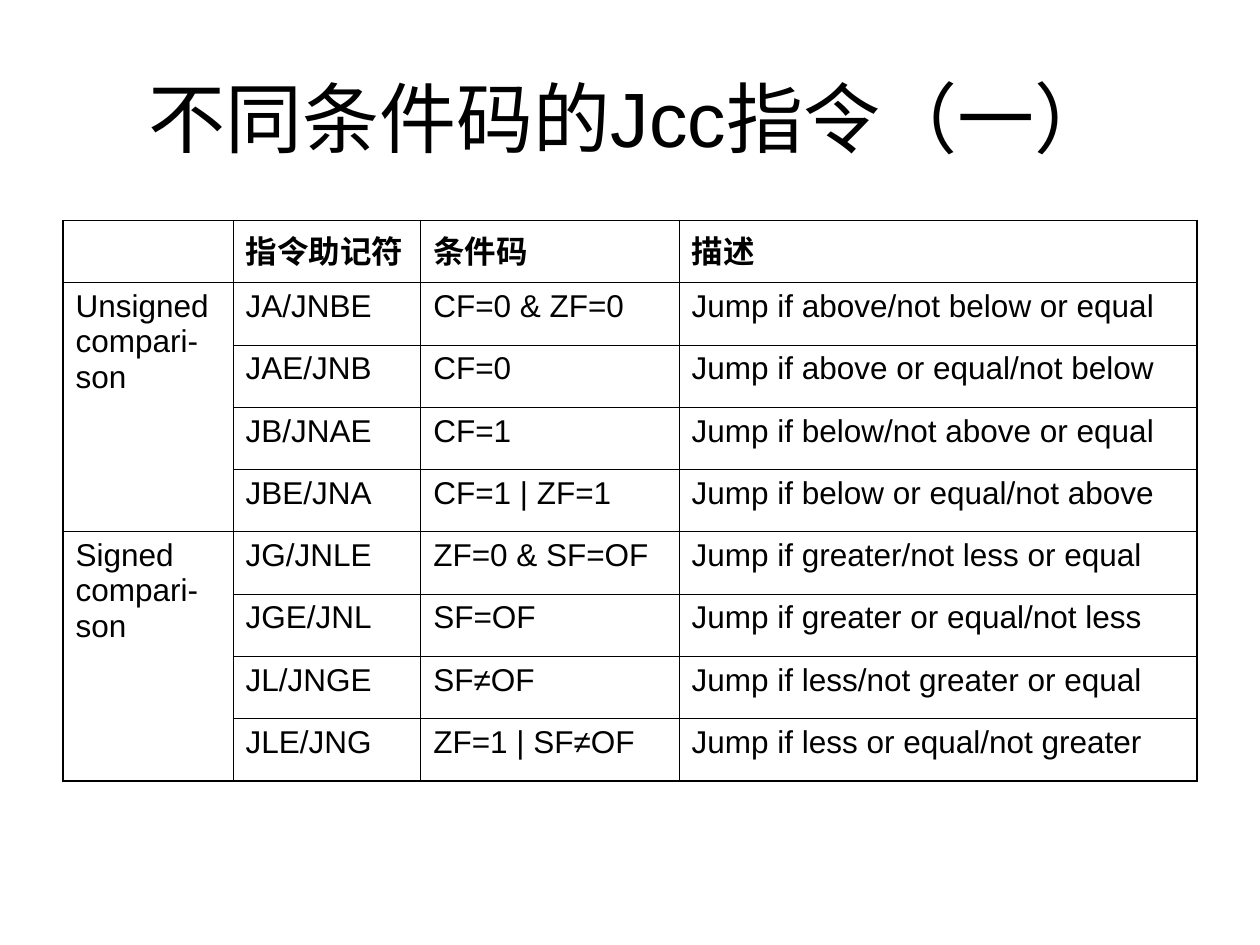
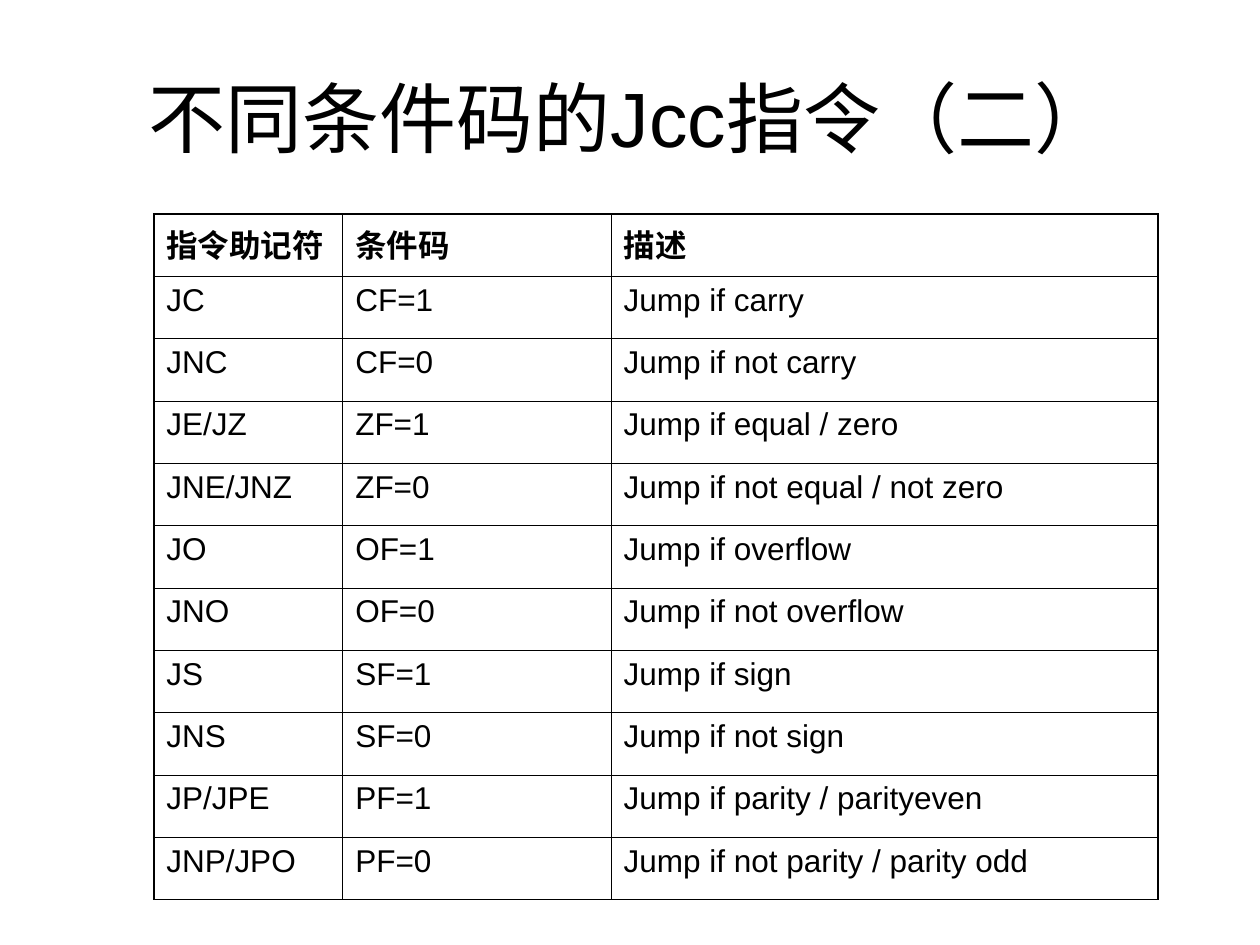
import pptx
import pptx.dml.color
import pptx.enum.text
import pptx.oxml
import pptx.oxml.ns
import pptx.util

PX = 9144  # EMU per px, 100 px to the inch
HUES = {"ink": "000000", "page": "FFFFFF"}
FONT = "Arial"
THIN, THICK = 0.45, 1.08
HEAD = ["指令助记符", "条件码", "描述"]

SIGNS = {
    "Unsigned compari-son": [
        ["JA/JNBE", "CF=0 & ZF=0", "Jump if above/not below or equal"],
        ["JAE/JNB", "CF=0", "Jump if above or equal/not below"],
        ["JB/JNAE", "CF=1", "Jump if below/not above or equal"],
        ["JBE/JNA", "CF=1 | ZF=1", "Jump if below or equal/not above"],
    ],
    "Signed compari-son": [
        ["JG/JNLE", "ZF=0 & SF=OF", "Jump if greater/not less or equal"],
        ["JGE/JNL", "SF=OF", "Jump if greater or equal/not less"],
        ["JL/JNGE", "SF≠OF", "Jump if less/not greater or equal"],
        ["JLE/JNG", "ZF=1 | SF≠OF", "Jump if less or equal/not greater"],
    ],
}

FLAGS = [
    ["JC", "CF=1", "Jump if carry"],
    ["JNC", "CF=0", "Jump if not carry"],
    ["JE/JZ", "ZF=1", "Jump if equal / zero"],
    ["JNE/JNZ", "ZF=0", "Jump if not equal / not zero"],
    ["JO", "OF=1", "Jump if overflow"],
    ["JNO", "OF=0", "Jump if not overflow"],
    ["JS", "SF=1", "Jump if sign"],
    ["JNS", "SF=0", "Jump if not sign"],
    ["JP/JPE", "PF=1", "Jump if parity / parityeven"],
    ["JNP/JPO", "PF=0", "Jump if not parity / parity odd"],
]


class Deck:
    """Holds the style and the current slide."""

    def __init__(self):
        self.file = pptx.Presentation()
        self.file.slide_width, self.file.slide_height = 1000 * PX, 750 * PX
        self.slide = None

    def page(self, title):
        self.slide = self.file.slides.add_slide(self.file.slide_layouts[6])
        fill = self.slide.background.fill
        fill.solid()
        fill.fore_color.rgb = pptx.dml.color.RGBColor.from_string(HUES["page"])
        self.title(title)

    def label(self, frame, text, size, bold=False, **form):
        """Put one line of text in a frame; form holds paragraph values."""
        para = frame.paragraphs[0]
        for key, value in form.items():
            setattr(para, key, value)
        run = para.add_run()
        run.text = text
        look = {"name": FONT, "size": pptx.util.Pt(size), "bold": bold}
        for key, value in look.items():
            setattr(run.font, key, value)
        run.font.color.rgb = pptx.dml.color.RGBColor.from_string(HUES["ink"])

    def title(self, text):
        frame = self.slide.shapes.add_textbox(
            50 * PX, 30 * PX, 900 * PX, 125 * PX).text_frame
        frame.word_wrap = True
        frame.vertical_anchor = pptx.enum.text.MSO_ANCHOR.MIDDLE
        self.label(frame, text, 44,
                   alignment=pptx.enum.text.PP_ALIGN.CENTER)

    def edge(self, cell, side, width):
        """Draw one border of a cell."""
        cell._tc.get_or_add_tcPr().append(pptx.oxml.parse_xml(
            f'<a:ln{side} {pptx.oxml.ns.nsdecls("a")} '
            f'w="{pptx.util.Pt(width)}"><a:solidFill>'
            f'<a:srgbClr val="{HUES["ink"]}"/></a:solidFill></a:ln{side}>'))

    def table(self, left, top, high, wides, rows, spans=()):
        """Equal rows; spans are (first, last) rows joined in column 0."""
        count, last = len(rows), len(wides) - 1
        grid = self.slide.shapes.add_table(
            count, len(wides), left * PX, top * PX,
            sum(wides) * PX, high * PX).table
        grid.first_row = grid.horz_banding = False
        for col, wide in zip(grid.columns, wides):
            col.width = wide * PX
        for first, end in spans:
            grid.cell(first, 0).merge(grid.cell(end, 0))
        for r, row in enumerate(rows):
            for c, text in enumerate(row):
                cell = grid.cell(r, c)
                if cell.is_spanned:
                    continue
                # Heavy frame, thin inner rules
                outer = {"L": c == 0, "R": c == last, "T": r == 0,
                         "B": r + cell.span_height == count}
                for side, heavy in outer.items():
                    self.edge(cell, side, THICK if heavy else THIN)
                cell.fill.background()
                if text:
                    self.label(cell.text_frame, text, 18, bold=r == 0,
                               space_before=pptx.util.Pt(4.5))


def main():
    deck = Deck()

    # Signed and unsigned comparisons
    rows, spans = [[""] + HEAD], []
    for name, group in SIGNS.items():
        spans.append((len(rows), len(rows) + len(group) - 1))
        rows += [[name] + line for line in group]
    deck.page("不同条件码的Jcc指令（一）")
    deck.table(50, 175, 445, [135, 149, 205, 411], rows, spans)

    # Single flags
    deck.page("不同条件码的Jcc指令（二）")
    deck.table(122, 170, 544, [150, 213, 434], [HEAD] + FLAGS)

    deck.file.save("out.pptx")


if __name__ == "__main__":
    main()
